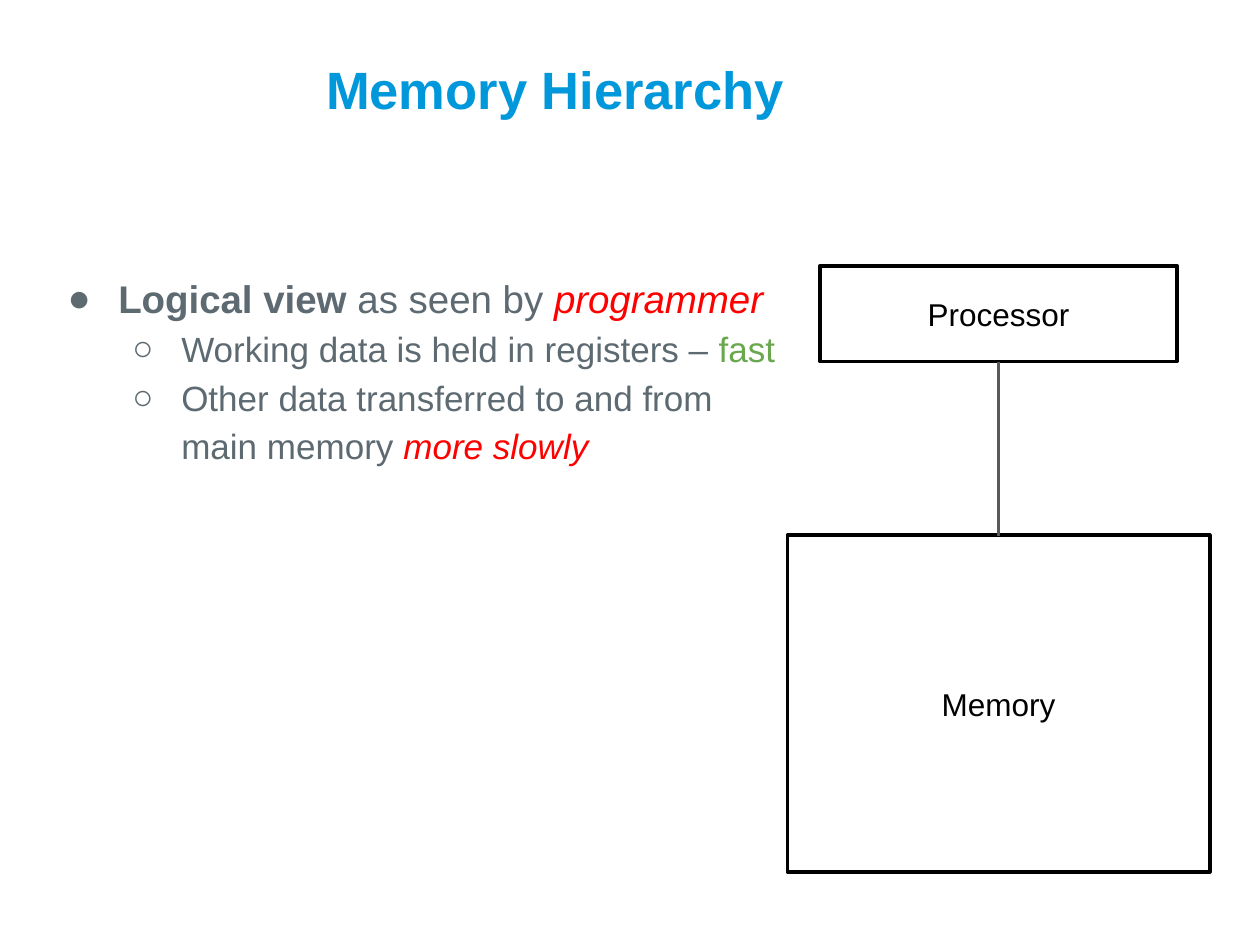
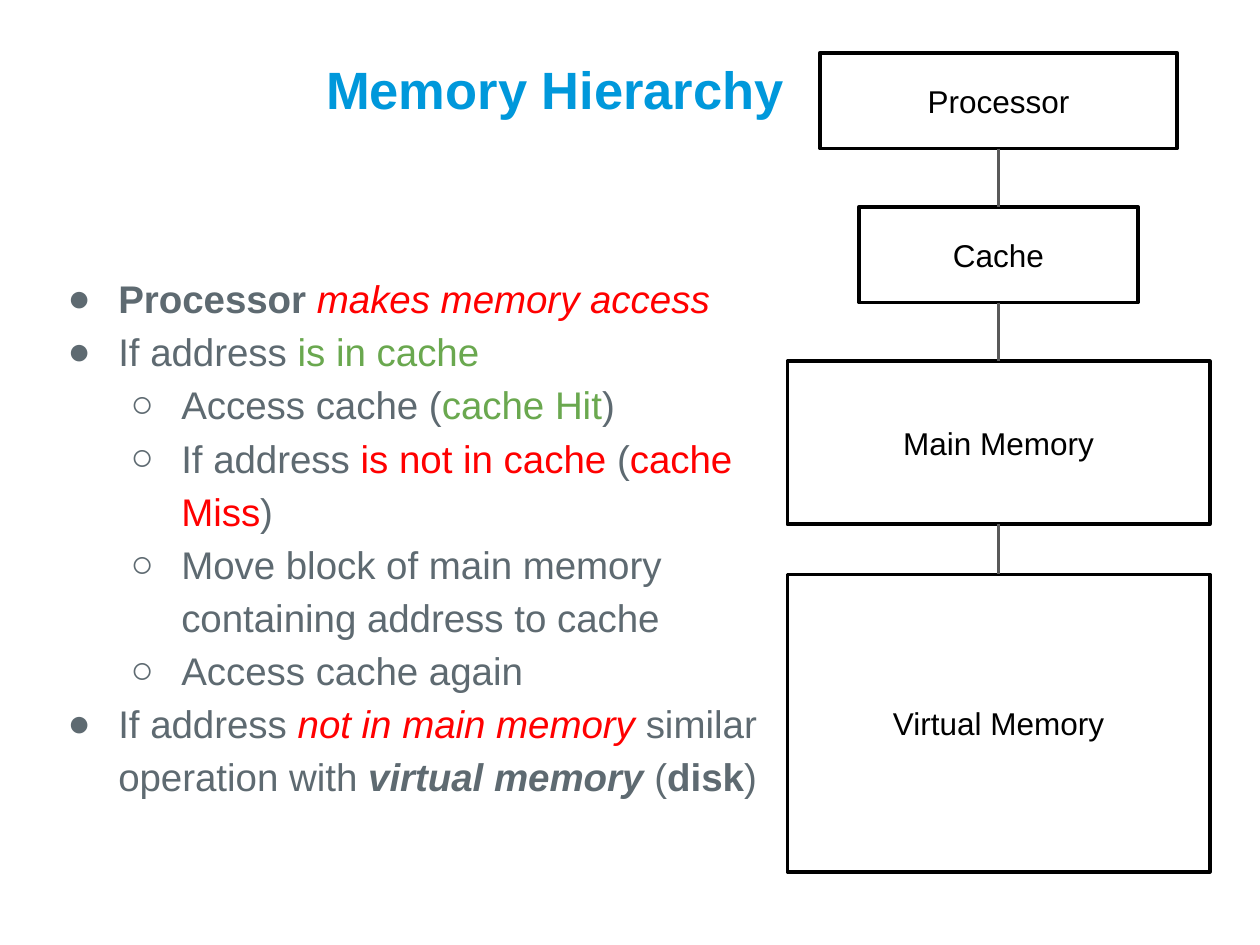
from dataclasses import dataclass
from itertools import pairwise

import lxml.etree
import pptx
import pptx.dml.color
import pptx.enum.shapes
import pptx.enum.text
import pptx.oxml.ns
import pptx.util

Pt = pptx.util.Pt
qn = pptx.oxml.ns.qn


@dataclass(frozen=True)
class Theme:
    font: str = "Arial"
    title_color: str = "0098DB"
    body_color: str = "5E6A71"
    slow_color: str = "FF0000"
    fast_color: str = "6AA84F"
    tier_color: str = "000000"
    link_color: str = "595959"
    title_size: float = 30
    body_size: float = 22
    detail_size: float = 20
    tier_size: float = 18
    tier_line: float = 2.25
    link_line: float = 1.5
    inset: float = 7.2
    line_spacing: float = 1.15


@dataclass(frozen=True)
class Box:
    left: float
    top: float
    width: float
    height: float

    def lengths(self):
        return Pt(self.left), Pt(self.top), Pt(self.width), Pt(self.height)


@dataclass(frozen=True)
class Tier:
    """One memory level; top is measured from the top of the diagram."""
    label: str
    top: float
    width: float
    height: float


THEME = Theme()
TITLE_BOX = Box(179.3, 25.2, 516.2, 59.8)
BODY_BOX = Box(24.5, 146.2, 430.6, 334.1)
WIDE, MEDIUM, NARROW = 241.2, 203.8, 159.2
SMALL_HEIGHT = 54.7
BULLETS = "●○"
INDENT_STEP = 36

# Run styles: colour, bold, italic
PLAIN = (THEME.body_color, False, False)
BOLD = (THEME.body_color, True, False)
BOLD_ITALIC = (THEME.body_color, True, True)
SLOW = (THEME.slow_color, False, False)
SLOW_ITALIC = (THEME.slow_color, False, True)
FAST = (THEME.fast_color, False, False)

# Each bullet: level, type size, runs
LOGICAL_VIEW = [
    (0, THEME.body_size, [("Logical view", BOLD), (" as seen by ", PLAIN),
                          ("programmer", SLOW_ITALIC)]),
    (1, THEME.detail_size, [("Working data is held in registers – ", PLAIN),
                            ("fast", FAST)]),
    (1, THEME.detail_size,
     [("Other data transferred to and from main memory ", PLAIN),
      ("more slowly", SLOW_ITALIC)]),
]
CACHE_ACCESS = [
    (0, THEME.body_size, [("Processor ", BOLD),
                          ("makes memory access", SLOW_ITALIC)]),
    (0, THEME.body_size, [("If address ", PLAIN), ("is in cache", FAST)]),
    (1, THEME.body_size, [("Access cache (", PLAIN), ("cache Hit", FAST),
                          (")", PLAIN)]),
    (1, THEME.body_size, [("If address", PLAIN), (" is not in cache", SLOW),
                          (" (", PLAIN), ("cache Miss", SLOW), (")", PLAIN)]),
    (1, THEME.body_size,
     [("Move block of main memory containing address to cache", PLAIN)]),
    (1, THEME.body_size, [("Access cache again", PLAIN)]),
    (0, THEME.body_size,
     [("If address ", PLAIN), ("not in main memory", SLOW_ITALIC),
      (" similar operation with ", PLAIN), ("virtual memory", BOLD_ITALIC),
      (" (", PLAIN), ("disk", BOLD), (")", PLAIN)]),
]

LOGICAL_BOX = Box(450, 151.9, WIDE, 346.3)
LOGICAL_TIERS = [
    Tier("Processor", 0, MEDIUM, SMALL_HEIGHT),
    Tier("Memory", 154.1, WIDE, 192.2),
]
CACHE_BOX = Box(450, 30.2, WIDE, 468)
CACHE_TIERS = [
    Tier("Processor", 0, MEDIUM, SMALL_HEIGHT),
    Tier("Cache", 88, NARROW, SMALL_HEIGHT),
    Tier("Main Memory", 176.3, WIDE, 93.2),
    Tier("Virtual Memory", 298.1, WIDE, 169.9),
]


def rgb(color):
    return pptx.dml.color.RGBColor.from_string(color)


def add_run(paragraph, text, size, color, bold=False, italic=False):
    run = paragraph.add_run()
    run.text = text
    run.font.name = THEME.font
    run.font.size = Pt(size)
    run.font.color.rgb = rgb(color)
    run.font.bold = bold
    run.font.italic = italic


def prepare_frame(shape):
    frame = shape.text_frame
    frame.word_wrap = True
    frame.margin_left = frame.margin_right = Pt(THEME.inset)
    frame.margin_top = frame.margin_bottom = Pt(THEME.inset)
    return frame


def set_bullet(paragraph, level, size):
    paragraph.level = level
    paragraph.line_spacing = THEME.line_spacing
    properties = paragraph._p.get_or_add_pPr()
    hanging = 18 + size / 2
    properties.set("marL", str(Pt(INDENT_STEP * (level + 1))))
    properties.set("indent", str(-Pt(hanging)))
    color = lxml.etree.SubElement(properties, qn("a:buClr"))
    lxml.etree.SubElement(color, qn("a:srgbClr"), val=THEME.body_color)
    lxml.etree.SubElement(properties, qn("a:buFont"), typeface=THEME.font)
    lxml.etree.SubElement(properties, qn("a:buChar"), char=BULLETS[level])


def add_title(slide, box, text):
    frame = prepare_frame(slide.shapes.add_textbox(*box.lengths()))
    add_run(frame.paragraphs[0], text, THEME.title_size, THEME.title_color, bold=True)


def add_bullets(slide, box, bullets):
    frame = prepare_frame(slide.shapes.add_textbox(*box.lengths()))
    for index, (level, size, runs) in enumerate(bullets):
        paragraph = frame.add_paragraph() if index else frame.paragraphs[0]
        set_bullet(paragraph, level, size)
        for text, style in runs:
            add_run(paragraph, text, size, *style)


def add_tier(slide, box, tier):
    """Centre one tier across the diagram box."""
    left = box.left + (box.width - tier.width) / 2
    tier_box = Box(left, box.top + tier.top, tier.width, tier.height)
    shape = slide.shapes.add_shape(
        pptx.enum.shapes.MSO_SHAPE.RECTANGLE, *tier_box.lengths())
    shape.shadow.inherit = False
    shape.fill.background()
    shape.line.color.rgb = rgb(THEME.tier_color)
    shape.line.width = Pt(THEME.tier_line)
    frame = prepare_frame(shape)
    frame.vertical_anchor = pptx.enum.text.MSO_ANCHOR.MIDDLE
    paragraph = frame.paragraphs[0]
    paragraph.alignment = pptx.enum.text.PP_ALIGN.CENTER
    add_run(paragraph, tier.label, THEME.tier_size, THEME.tier_color)
    return shape


def add_link(slide, upper, lower):
    """Join the bottom of the upper tier to the top of the lower one."""
    link = slide.shapes.add_connector(
        pptx.enum.shapes.MSO_CONNECTOR.STRAIGHT, 0, 0, 0, 0)
    link.begin_connect(upper, 2)
    link.end_connect(lower, 0)
    link.line.color.rgb = rgb(THEME.link_color)
    link.line.width = Pt(THEME.link_line)
    lxml.etree.SubElement(link._element.spPr, qn("a:effectLst"))


def add_hierarchy(slide, box, tiers):
    shapes = [add_tier(slide, box, tier) for tier in tiers]
    for upper, lower in pairwise(shapes):
        add_link(slide, upper, lower)


def add_hierarchy_slide(presentation, bullets, diagram_box, tiers):
    slide = presentation.slides.add_slide(presentation.slide_layouts[6])
    add_bullets(slide, BODY_BOX, bullets)
    add_title(slide, TITLE_BOX, "Memory Hierarchy")
    add_hierarchy(slide, diagram_box, tiers)


def main():
    presentation = pptx.Presentation()
    presentation.slide_width = Pt(720)
    presentation.slide_height = Pt(540)
    add_hierarchy_slide(presentation, LOGICAL_VIEW, LOGICAL_BOX, LOGICAL_TIERS)
    add_hierarchy_slide(presentation, CACHE_ACCESS, CACHE_BOX, CACHE_TIERS)
    presentation.save("out.pptx")


if __name__ == "__main__":
    main()
